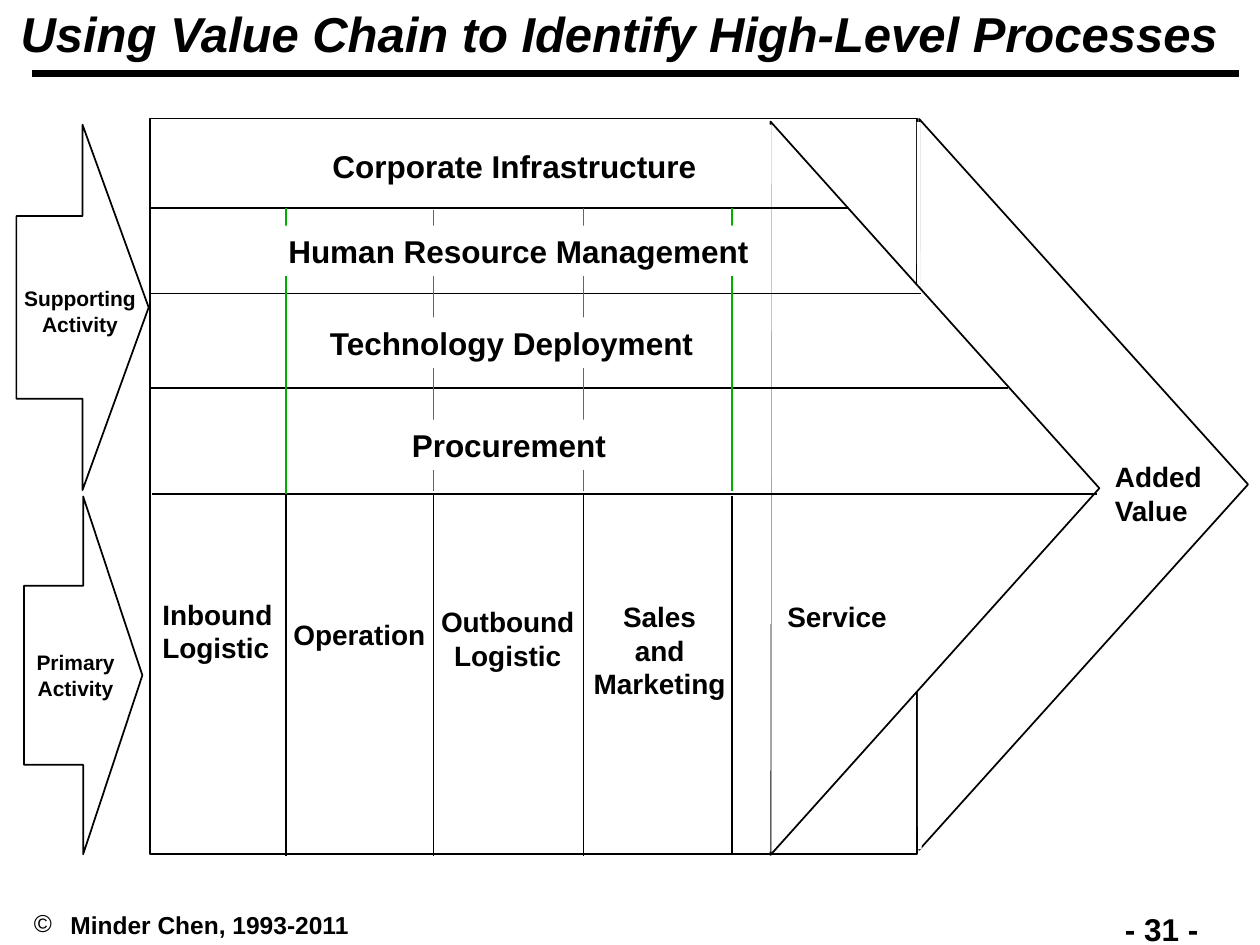
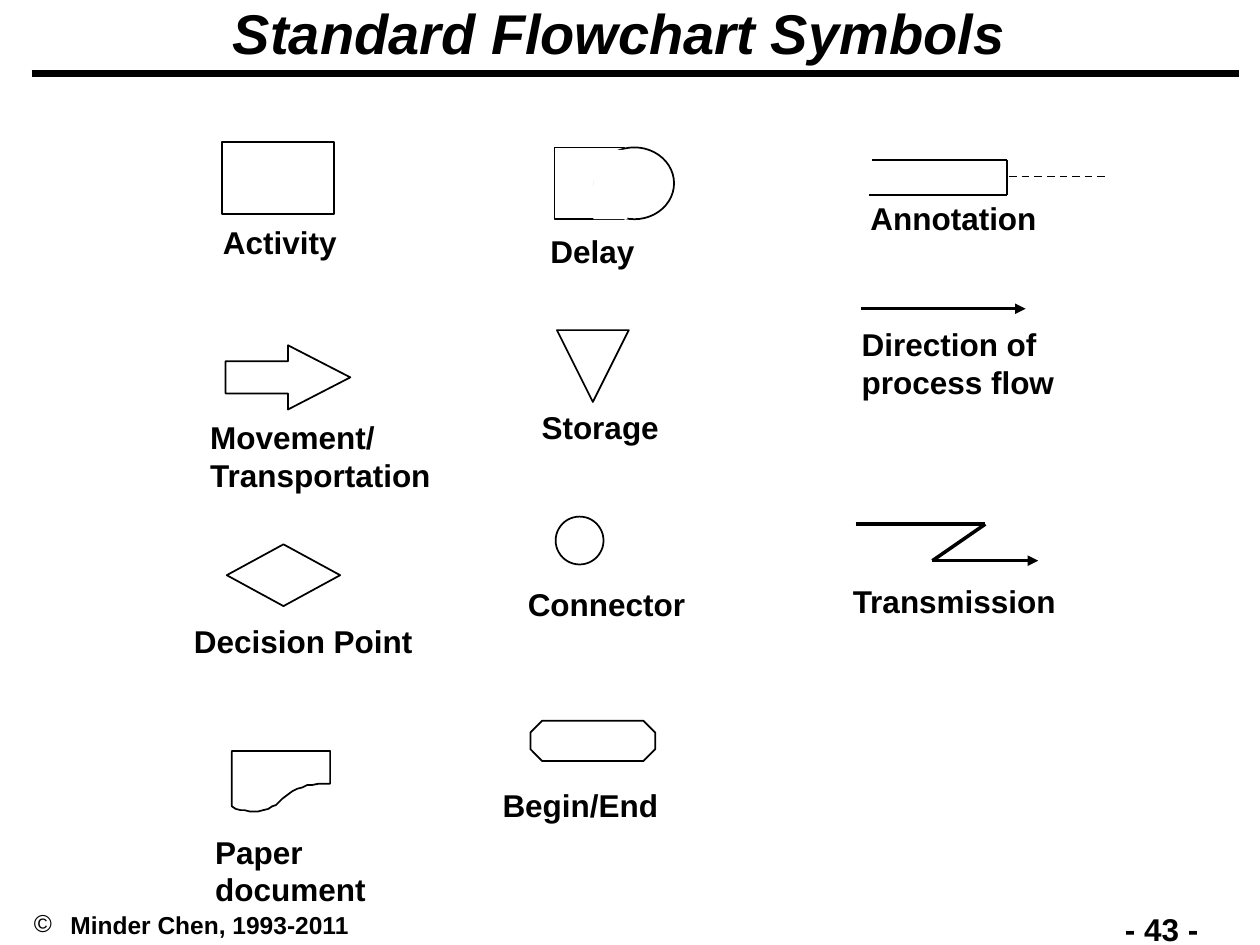
import lxml.etree
import pptx
import pptx.dml.color
import pptx.enum.shapes
import pptx.enum.text
import pptx.oxml.ns
import pptx.util

Inches = pptx.util.Inches
Pt = pptx.util.Pt
qn = pptx.oxml.ns.qn
MSO_SHAPE = pptx.enum.shapes.MSO_SHAPE
PP_ALIGN = pptx.enum.text.PP_ALIGN
MSO_ANCHOR = pptx.enum.text.MSO_ANCHOR
MSO_AUTO_SIZE = pptx.enum.text.MSO_AUTO_SIZE

BLACK = pptx.dml.color.RGBColor(0x00, 0x00, 0x00)
WHITE = pptx.dml.color.RGBColor(0xFF, 0xFF, 0xFF)
GREEN = pptx.dml.color.RGBColor(0x00, 0xAE, 0x00)
FONT = "Arial"


def add_line(slide, x1, y1, x2, y2, color=BLACK, width=1, arrow=False):
    connector = slide.shapes.add_connector(
        pptx.enum.shapes.MSO_CONNECTOR.STRAIGHT,
        Inches(x1), Inches(y1), Inches(x2), Inches(y2))
    connector.line.color.rgb = color
    connector.line.width = Pt(width)
    properties = connector._element.spPr
    if arrow:
        lxml.etree.SubElement(properties.find(qn("a:ln")), qn("a:tailEnd"), type="triangle")
    lxml.etree.SubElement(properties, qn("a:effectLst"))


def add_label(slide, text, left, top, width, height, size=18,
              align=PP_ALIGN.LEFT, wrap=False, bullet=None, fill=None):
    box = slide.shapes.add_textbox(Inches(left), Inches(top), Inches(width), Inches(height))
    if fill is not None:
        box.fill.solid()
        box.fill.fore_color.rgb = fill
    frame = box.text_frame
    frame.word_wrap = wrap
    frame.text = text
    for paragraph in frame.paragraphs:
        paragraph.alignment = align
        if bullet:
            properties = paragraph._p.get_or_add_pPr()
            properties.set("marL", str(Inches(0.29)))
            properties.set("indent", str(-Inches(0.29)))
            lxml.etree.SubElement(properties, qn("a:buFont"), typeface=FONT)
            lxml.etree.SubElement(properties, qn("a:buChar"), char=bullet)
        paragraph.font.name = FONT
        paragraph.font.size = Pt(size)
        paragraph.font.bold = True
        paragraph.font.color.rgb = BLACK


presentation = pptx.Presentation()
presentation.slide_width = Inches(10)
presentation.slide_height = Inches(7.5)

for title_text, title_size, number in [
    ("Using Value Chain to Identify High-Level Processes", 28, "- 31 -"),
    ("Standard Flowchart Symbols", 32, "- 43 -"),
]:
    slide = presentation.slides.add_slide(presentation.slide_layouts[5])
    title = slide.shapes.title
    title.left, title.top = Inches(0), Inches(0)
    title.width, title.height = Inches(9.83), Inches(0.58)
    title.text_frame.text = title_text
    title.text_frame.auto_size = MSO_AUTO_SIZE.NONE
    title.text_frame.vertical_anchor = MSO_ANCHOR.MIDDLE
    paragraph = title.text_frame.paragraphs[0]
    paragraph.alignment = PP_ALIGN.CENTER
    paragraph.line_spacing = 0.9
    paragraph.font.name = FONT
    paragraph.font.size = Pt(title_size)
    paragraph.font.bold = True
    paragraph.font.italic = True
    paragraph.font.color.rgb = BLACK
    add_line(slide, 0.25, 0.58, 9.83, 0.58, width=4)
    add_label(slide, number, 8.83, 7.17, 1.16, 0.4, wrap=True)
    add_label(slide, "Minder Chen, 1993-2011", 0.17, 7.17, 3.4, 0.33, 14, wrap=True, bullet="©")

chain, symbols = presentation.slides

outlines = []
for slide, kind, box, rotation, fill, seam in [
    (chain, MSO_SHAPE.ISOSCELES_TRIANGLE, (5.7, 2.54, 5.8, 2.61), 90, WHITE, None),
    (chain, MSO_SHAPE.RECTANGLE, (1.19, 0.94, 6.09, 5.84), 0, WHITE, (7.29, 0.97, 7.3, 6.74)),
    (chain, MSO_SHAPE.ISOSCELES_TRIANGLE, (4.51, 2.57, 5.82, 2.61), 90, WHITE, (6.11, 0.99, 6.1, 6.76)),
    (chain, MSO_SHAPE.RIGHT_ARROW, (0.13, 0.99, 1.05, 2.9), 0, WHITE, None),
    (chain, MSO_SHAPE.RIGHT_ARROW, (0.19, 3.94, 0.94, 2.84), 0, WHITE, None),
    (symbols, MSO_SHAPE.OVAL, (4.41, 4.1, 0.38, 0.38), 0, None, None),
    (symbols, MSO_SHAPE.RECTANGLE, (1.76, 1.13, 0.89, 0.57), 0, None, None),
    (symbols, MSO_SHAPE.DIAMOND, (1.8, 4.32, 0.9, 0.49), 0, None, None),
    (symbols, MSO_SHAPE.ISOSCELES_TRIANGLE, (4.42, 2.62, 0.57, 0.57), 180, None, None),
    (symbols, MSO_SHAPE.OCTAGON, (4.21, 5.72, 0.99, 0.32), 0, None, None),
    (symbols, MSO_SHAPE.RECTANGLE, (4.4, 1.17, 0.55, 0.57), 0, WHITE, None),
    (symbols, MSO_SHAPE.OVAL, (4.72, 1.17, 0.63, 0.57), 0, WHITE, None),
    (symbols, MSO_SHAPE.RECTANGLE, (4.71, 1.19, 0.27, 0.55), 0, WHITE, None),
    (symbols, MSO_SHAPE.RIGHT_ARROW, (1.79, 2.74, 0.99, 0.51), 0, WHITE, None),
]:
    shape = slide.shapes.add_shape(kind, *[Inches(length) for length in box])
    shape.rotation = rotation
    outlines.append((shape, fill))
    if seam:
        add_line(slide, *seam, color=WHITE, width=2)

delay_cover = outlines[-2][0]
movement_arrow = outlines[-1][0]
movement_arrow.adjustments[1] = 0.97

document_points = [
    (1.84, 6.4), (1.84, 5.96), (2.62, 5.96), (2.62, 6.22), (2.53, 6.22), (2.48, 6.23),
    (2.44, 6.23), (2.4, 6.25), (2.36, 6.26), (2.32, 6.28), (2.28, 6.31), (2.24, 6.34),
    (2.21, 6.37), (2.19, 6.39), (2.16, 6.4), (2.13, 6.42), (2.09, 6.43), (2.05, 6.44),
    (2.01, 6.44), (1.98, 6.44), (1.94, 6.43), (1.91, 6.43), (1.87, 6.42),
]
start, *rest = [(Inches(x), Inches(y)) for x, y in document_points]
builder = symbols.shapes.build_freeform(*start)
builder.add_line_segments(rest, close=True)
outlines.append((builder.convert_to_shape(), None))

for shape, fill in outlines:
    shape.shadow.inherit = False
    if fill is None:
        shape.fill.background()
    else:
        shape.fill.solid()
        shape.fill.fore_color.rgb = fill
    shape.line.color.rgb = BLACK
    shape.line.width = Pt(1)
delay_cover.line.fill.background()

for left, right, y in [(1.21, 8.71, 3.92), (1.19, 8, 3.08), (1.19, 7.31, 2.33), (1.19, 6.73, 1.65)]:
    add_line(chain, left, y, right, y)
for x, top, bottom, green_top, green_bottom in [
    (2.27, 3.92, 6.79, 1.65, 3.92),
    (3.44, 3.92, 6.79, 1.67, 3.9),
    (4.63, 3.92, 6.79, 1.65, 3.9),
    (5.81, 3.94, 6.77, 1.65, 3.9),
]:
    add_line(chain, x, top, x, bottom)
    add_line(chain, x, green_bottom, x, green_top, color=GREEN)

for text, left, top, width, fill in [
    ("Corporate Infrastructure", 2.54, 1.12, 3.09, None),
    ("Human Resource Management", 2.19, 1.79, 3.86, WHITE),
    ("Technology Deployment", 2.52, 2.52, 3.11, WHITE),
    ("Procurement", 3.17, 3.33, 1.74, WHITE),
]:
    add_label(chain, text, left, top, width, 0.4, fill=fill)

for text, left, top, width, height, size, align in [
    ("Added\nValue", 8.75, 3.6, 0.89, 0.63, 16, PP_ALIGN.LEFT),
    ("Inbound\nLogistic", 1.19, 4.69, 1.08, 0.63, 16, PP_ALIGN.LEFT),
    ("Operation", 2.23, 4.85, 1.25, 0.37, 16, PP_ALIGN.LEFT),
    ("Outbound\nLogistic", 3.4, 4.75, 1.26, 0.63, 16, PP_ALIGN.CENTER),
    ("Sales\nand\nMarketing", 4.61, 4.71, 1.25, 0.9, 16, PP_ALIGN.CENTER),
    ("Service", 6.15, 4.71, 0.99, 0.37, 16, PP_ALIGN.LEFT),
    ("Supporting\nActivity", 0.09, 2.22, 1.09, 0.5, 12, PP_ALIGN.CENTER),
    ("Primary\nActivity", 0.19, 5.11, 0.82, 0.5, 12, PP_ALIGN.CENTER),
]:
    add_label(chain, text, left, top, width, height, size, align)

for ends in [(7.99, 1.27, 6.92, 1.27), (7.99, 1.27, 7.99, 1.55), (7.99, 1.55, 6.9, 1.55)]:
    add_line(symbols, *ends)
for dash in range(8):
    x = 8.01 + 0.1 * dash
    add_line(symbols, x, 1.4, x + 0.06, 1.4)
for *ends, arrow in [
    (6.83, 2.45, 8.14, 2.45, True),
    (6.79, 4.16, 7.82, 4.16, False),
    (7.82, 4.16, 7.4, 4.45, False),
    (7.4, 4.45, 8.24, 4.45, True),
]:
    add_line(symbols, *ends, width=2, arrow=arrow)

for text, left, top, width, height in [
    ("Activity", 1.67, 1.72, 1.11, 0.4),
    ("Movement/\nTransportation", 1.57, 3.27, 1.97, 0.7),
    ("Decision Point", 1.44, 4.89, 1.94, 0.4),
    ("Paper\ndocument", 1.61, 6.56, 1.4, 0.7),
    ("Delay", 4.27, 1.79, 0.87, 0.4),
    ("Storage", 4.2, 3.19, 1.13, 0.4),
    ("Connector", 4.09, 4.59, 1.45, 0.4),
    ("Begin/End", 3.89, 6.19, 1.44, 0.4),
    ("Annotation", 6.81, 1.53, 1.52, 0.4),
    ("Direction of\nprocess flow", 6.74, 2.53, 1.73, 0.7),
    ("Transmission", 6.67, 4.57, 1.83, 0.4),
]:
    add_label(symbols, text, left, top, width, height)

presentation.save("out.pptx")
